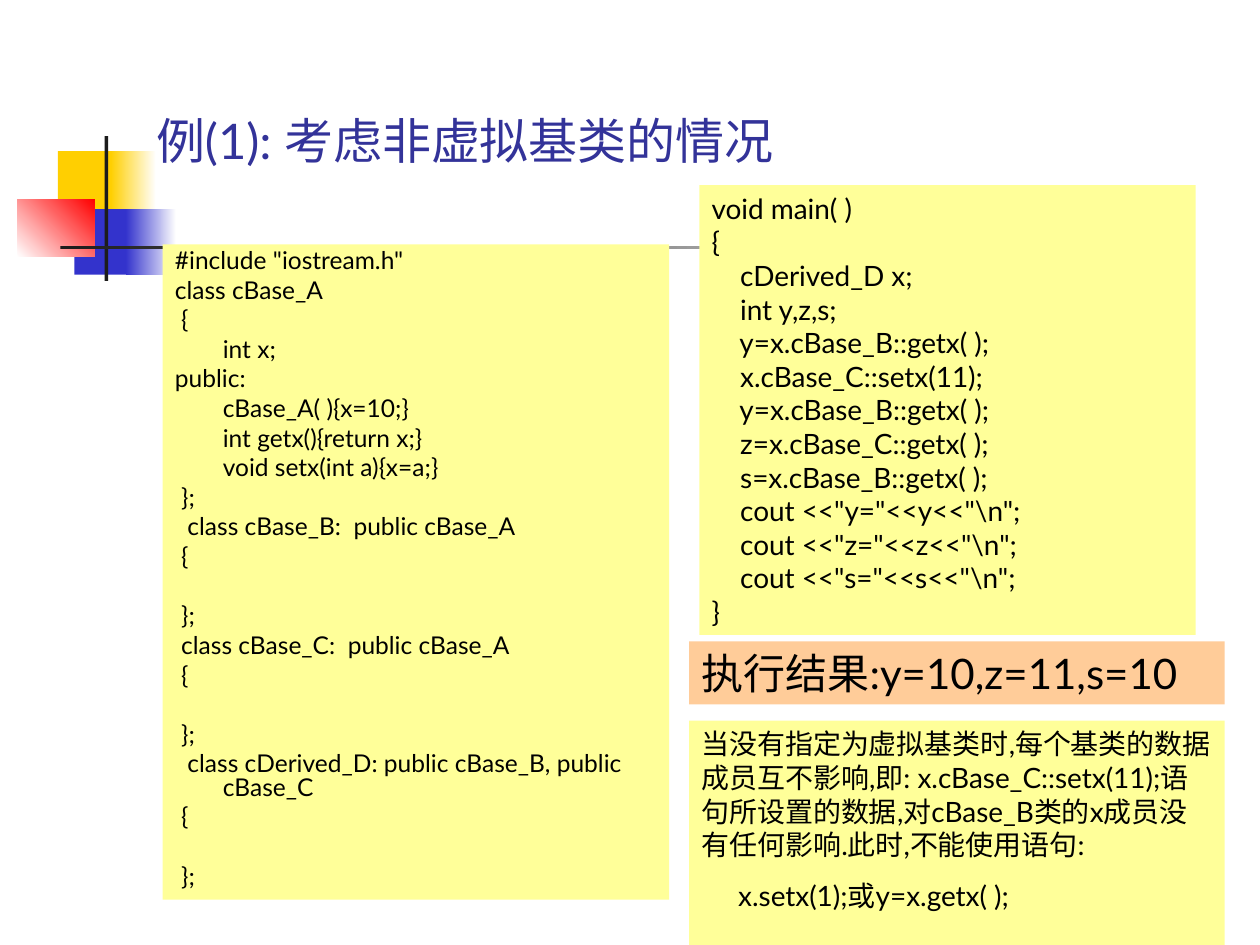
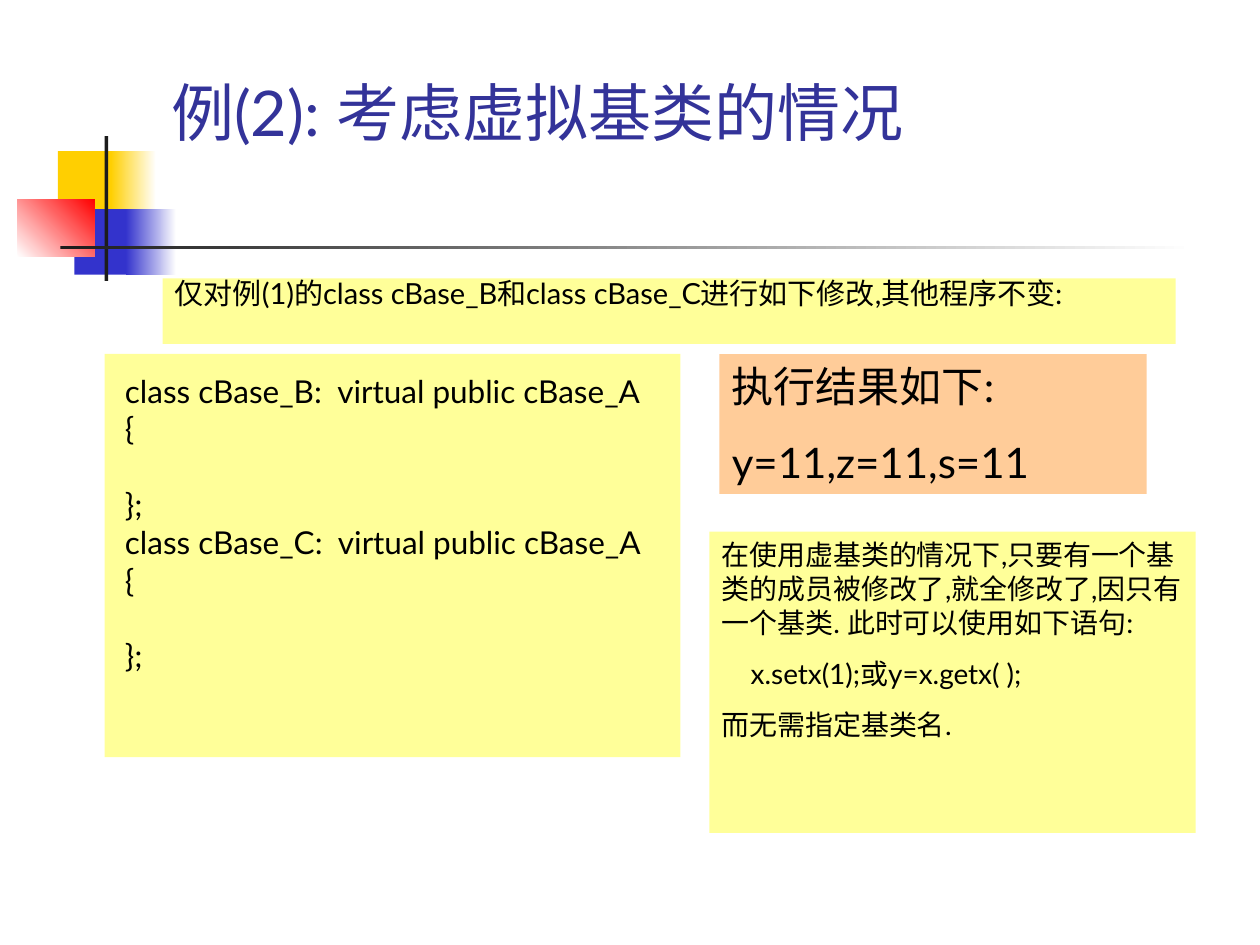
from dataclasses import dataclass
from typing import Any, Optional

from pptx import Presentation
from pptx.dml.color import RGBColor
from pptx.enum.shapes import MSO_SHAPE as ShapeKind
from pptx.enum.text import MSO_ANCHOR as Anchor, PP_ALIGN as Align
from pptx.util import Inches, Pt

FONT = "Lato"
WHITE = RGBColor(0xFF, 0xFF, 0xFF)
BLACK = RGBColor(0x00, 0x00, 0x00)
CHARCOAL = RGBColor(0x1C, 0x1C, 0x1C)
GOLD = RGBColor(0xFF, 0xCF, 0x01)
BLUE = RGBColor(0x33, 0x33, 0xCC)
RED = RGBColor(0xFF, 0x00, 0x00)
TITLE_BLUE = RGBColor(0x33, 0x33, 0x99)
PALE_YELLOW = RGBColor(0xFF, 0xFF, 0x99)
PEACH = RGBColor(0xFF, 0xCC, 0x99)


@dataclass(frozen=True)
class Block:
    left: float
    top: float
    width: float
    height: float
    start: RGBColor
    end: Optional[RGBColor] = None
    angle: float = 0


@dataclass(frozen=True)
class Line:
    text: str
    before: float = 0
    margin: float = 0


@dataclass(frozen=True)
class Panel:
    block: Block
    size: float
    lines: list[Line]
    spacing: float = 1.0
    hanging: float = 0
    top_inset: float = 0.05


@dataclass(frozen=True)
class Title:
    text: str
    left: float
    top: float
    height: float
    size: float


DECORATION = [
    Block(0.46, 1.2, 0.48, 0.52, GOLD),
    Block(0.88, 1.2, 0.36, 0.52, GOLD, WHITE),
    Block(0.59, 1.66, 0.46, 0.52, BLUE),
    Block(1, 1.66, 0.4, 0.52, BLUE, WHITE),
    Block(0.14, 1.58, 0.61, 0.46, WHITE, RED, 45),
    Block(0.83, 1.08, 0.03, 1.15, CHARCOAL),
    Block(0.48, 1.95, 9, 0.03, CHARCOAL, WHITE),
]

CLASSES = """#include "iostream.h"
class cBase_A
 {
\tint x;
public:
\tcBase_A( ){x=10;}
\tint getx(){return x;}
\tvoid setx(int a){x=a;}
 };
  class cBase_B:  public cBase_A
 {

 };
 class cBase_C:  public cBase_A
 {

 };
  class cDerived_D: public cBase_B, public cBase_C
 {

 };"""

MAIN_FUNCTION = r"""void main( )
{
    cDerived_D x;
    int y,z,s;
    y=x.cBase_B::getx( );
    x.cBase_C::setx(11);
    y=x.cBase_B::getx( );
    z=x.cBase_C::getx( );
    s=x.cBase_B::getx( );
    cout <<"y="<<y<<"\n";
    cout <<"z="<<z<<"\n";
    cout <<"s="<<s<<"\n";
}"""

VIRTUAL_CLASSES = """ class cBase_B:  virtual public cBase_A
 {

 };
 class cBase_C:  virtual public cBase_A
 {

 };"""


def code_lines(code: str, before: float = 0, empty_height: float = 0) -> list[Line]:
    lines: list[Line] = []
    gap = 0.0
    for text in code.split("\n"):
        if not text:
            gap += empty_height
            continue
        lines.append(Line(text, before + gap if lines else 0))
        gap = 0.0
    return lines


def apply_format(target: Any, values: dict[str, Any]) -> None:
    for name, value in values.items():
        setattr(target, name, value)


def add_block(slide: Any, block: Block) -> Any:
    sides = (block.left, block.top, block.width, block.height)
    shape = slide.shapes.add_shape(ShapeKind.RECTANGLE, *map(Inches, sides))
    shape.shadow.inherit = False
    shape.line.fill.background()
    if block.end is None:
        shape.fill.solid()
        shape.fill.fore_color.rgb = block.start
    else:
        shape.fill.gradient()
        shape.fill.gradient_angle = block.angle
        for stop, position, color in zip(shape.fill.gradient_stops, (0, 1), (block.start, block.end)):
            stop.position = position
            stop.color.rgb = color
    return shape


def write_line(paragraph: Any, line: Line, size: float, color: RGBColor,
               spacing: float = 1.0, hanging: float = 0) -> None:
    properties = paragraph._p.get_or_add_pPr()
    properties.set("marL", str(Inches(line.margin + hanging)))
    properties.set("indent", str(-Inches(hanging)))
    apply_format(paragraph, {"alignment": Align.LEFT, "line_spacing": spacing,
                             "space_before": Pt(line.before)})
    run = paragraph.add_run()
    run.text = line.text
    apply_format(run.font, {"name": FONT, "size": Pt(size)})
    run.font.color.rgb = color


def add_panel(slide: Any, panel: Panel) -> None:
    frame = add_block(slide, panel.block).text_frame
    apply_format(frame, {"word_wrap": True, "vertical_anchor": Anchor.TOP,
                         "margin_top": Inches(panel.top_inset)})
    for index, line in enumerate(panel.lines):
        paragraph = frame.add_paragraph() if index else frame.paragraphs[0]
        write_line(paragraph, line, panel.size, BLACK, panel.spacing, panel.hanging)


def add_title(slide: Any, title: Title) -> None:
    sides = (title.left, title.top, 8.52, title.height)
    frame = slide.shapes.add_textbox(*map(Inches, sides)).text_frame
    apply_format(frame, {"word_wrap": True, "vertical_anchor": Anchor.BOTTOM})
    write_line(frame.paragraphs[0], Line(title.text), title.size, TITLE_BLUE)


def add_example(presentation: Any, title: Title, panels: list[Panel]) -> None:
    slide = presentation.slides.add_slide(presentation.slide_layouts[6])
    for block in DECORATION:
        add_block(slide, block)
    add_title(slide, title)
    for panel in panels:
        add_panel(slide, panel)


def main() -> None:
    presentation = Presentation()
    apply_format(presentation, {"slide_width": Inches(10), "slide_height": Inches(7.5)})
    add_example(presentation, Title("例(1): 考虑非虚拟基类的情况", 1.14, 0.84, 0.55, 28), [
        Panel(Block(1.29, 1.94, 4.02, 5.2, PALE_YELLOW), 14,
              code_lines(CLASSES, 3.5, 16.9), spacing=0.8, hanging=0.38),
        Panel(Block(5.55, 1.47, 3.94, 3.57, PALE_YELLOW), 16, code_lines(MAIN_FUNCTION)),
        Panel(Block(5.47, 5.09, 4.25, 0.5, PEACH), 24, [Line("执行结果:y=10,z=11,s=10")]),
        Panel(Block(5.47, 5.72, 4.25, 1.84, PALE_YELLOW), 16, [
            Line("当没有指定为虚拟基类时,每个基类的数据成员互不影响,即: x.cBase_C::setx(11);"
                 "语句所设置的数据,对cBase_B类的x成员没有任何影响.此时,不能使用语句:"),
            Line("x.setx(1);或y=x.getx( );", 10, 0.29),
        ]),
    ])
    add_example(presentation, Title("例(2): 考虑虚拟基类的情况", 1.26, 0.67, 0.56, 36), [
        Panel(Block(1.29, 2.21, 8.04, 0.52, PALE_YELLOW), 16.6,
              [Line("仅对例(1)的class cBase_B和class cBase_C进行如下修改,其他程序不变:")],
              spacing=0.7, hanging=0.38),
        Panel(Block(0.83, 2.81, 4.57, 3.2, PALE_YELLOW), 18,
              code_lines(VIRTUAL_CLASSES, 0, 21.6), top_inset=0.14),
        Panel(Block(5.71, 2.81, 3.39, 1.11, PEACH), 24,
              [Line("执行结果如下:"), Line("y=11,z=11,s=11", 15)]),
        Panel(Block(5.63, 4.22, 3.86, 2.39, PALE_YELLOW), 16, [
            Line("在使用虚基类的情况下,只要有一个基类的成员被修改了,就全修改了,"
                 "因只有一个基类. 此时可以使用如下语句:"),
            Line("x.setx(1);或y=x.getx( );", 10, 0.23),
            Line("而无需指定基类名.", 10),
        ]),
    ])
    presentation.save("out.pptx")


if __name__ == "__main__":
    main()
